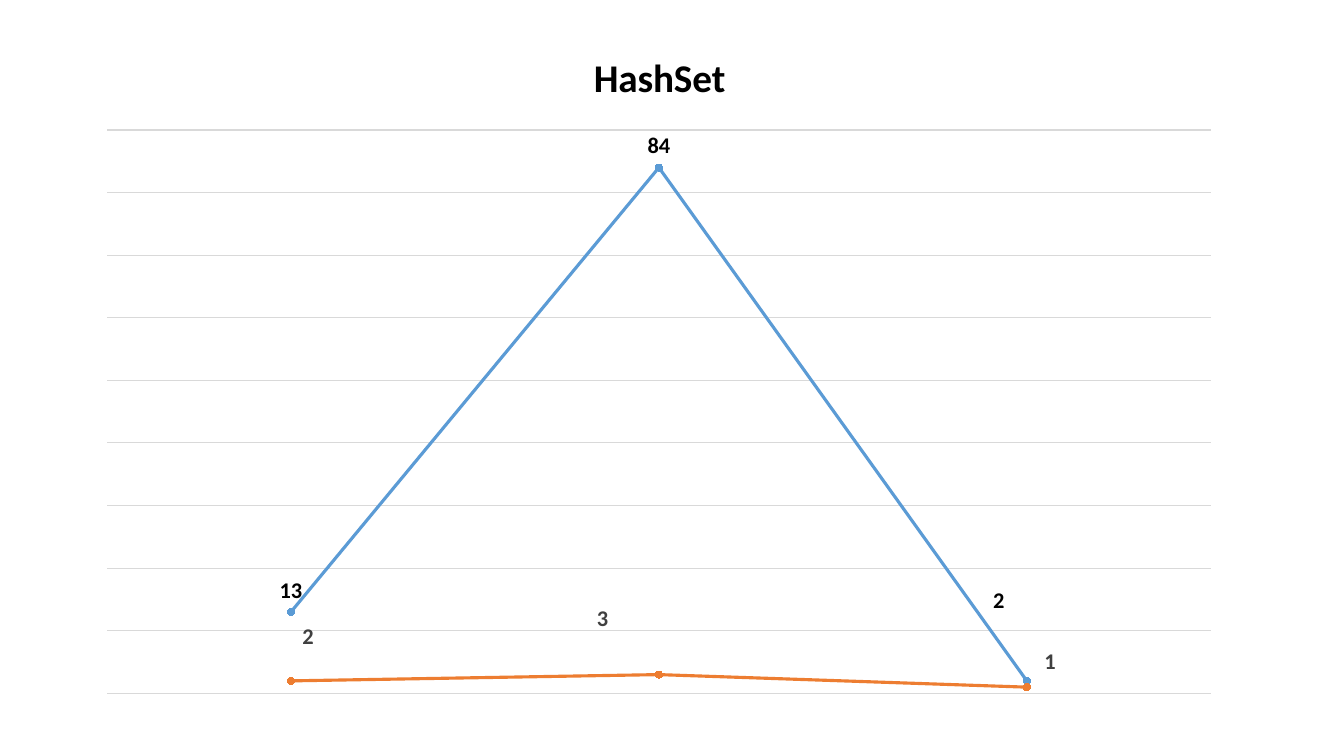
from lxml import etree
from pptx import Presentation
from pptx.chart.data import CategoryChartData
from pptx.dml.color import RGBColor
from pptx.enum import chart as kinds
from pptx.oxml.ns import qn
from pptx.util import Inches, Pt

BLACK = RGBColor(0x00, 0x00, 0x00)
GREY = RGBColor(0x40, 0x40, 0x40)
GRID = RGBColor(0xD9, 0xD9, 0xD9)
BLUE = RGBColor(0x5B, 0x9B, 0xD5)
ORANGE = RGBColor(0xED, 0x7D, 0x31)
FONT = "Calibri"

# Content: name, values, line colour, label colour,
# and shifted labels as {point: (right, down)} in inches
TITLE = "HashSet"
CATEGORIES = ["1", "2", "3"]
SERIES = [
    ("Original", (13, 84, 2), BLUE, BLACK, {2: (-0.28, -0.58)}),
    ("Optimized", (2, 3, 1), ORANGE, GREY,
     {0: (0.17, -0.22), 1: (-0.56, -0.34), 2: (0.23, -0.04)}),
]

# Places in inches; plot and title are measured from the chart's corner
LEFT, TOP, WIDTH, HEIGHT = 0.84, 0.24, 11.4, 7.26
PLOT = (0.22, 1.05, 10.95, 5.59)
TITLE_AT = (4.98, 0.2)


def set_layout(parent, index, x, y, size=None, edge=True):
    """Give a chart part a manual layout, as shares of the chart's size."""
    for old in parent.findall(qn("c:layout")):
        parent.remove(old)
    layout = etree.Element(qn("c:layout"))
    parent.insert(index, layout)
    manual = etree.SubElement(layout, qn("c:manualLayout"))
    entries = [("layoutTarget", "inner")] if size else []
    if edge:
        entries += [("xMode", "edge"), ("yMode", "edge")]
    entries += [("x", x / WIDTH), ("y", y / HEIGHT)]
    if size:
        entries += [("w", size[0] / WIDTH), ("h", size[1] / HEIGHT)]
    for tag, value in entries:
        etree.SubElement(manual, qn("c:" + tag)).set("val", str(value))


def style_font(font, size, color):
    font.name, font.size, font.bold = FONT, Pt(size), True
    font.color.rgb = color


deck = Presentation()
deck.slide_width, deck.slide_height = Inches(13.33), Inches(7.5)
page = deck.slides.add_slide(deck.slide_layouts[6])

# Line chart
data = CategoryChartData()
data.categories = CATEGORIES
for name, values, *_ in SERIES:
    data.add_series(name, values)
chart = page.shapes.add_chart(
    kinds.XL_CHART_TYPE.LINE_MARKERS, Inches(LEFT), Inches(TOP),
    Inches(WIDTH), Inches(HEIGHT), data).chart
chart.has_legend = False
chart.font.name, chart.font.size = FONT, Pt(10)
chart.font.color.rgb = BLACK
chart.plots[0].vary_by_categories = False
plot_area = chart._chartSpace.chart.plotArea
set_layout(plot_area, 0, *PLOT[:2], size=PLOT[2:])

# Title
chart.has_title = True
span = chart.chart_title.text_frame.paragraphs[0].add_run()
span.text = TITLE
style_font(span.font, 28, BLACK)
set_layout(chart.chart_title._element, 1, *TITLE_AT)

# Axes: hidden, only the gridlines show
chart.category_axis.visible = False
scale = chart.value_axis
scale.visible = False
scale.minimum_scale, scale.maximum_scale, scale.major_unit = 0, 90, 10
scale.has_major_gridlines = True
scale.major_gridlines.format.line.color.rgb = GRID
scale.major_gridlines.format.line.width = Pt(0.75)

# Lines, markers and value labels
for line, (_, _, color, label_color, shifts) in zip(chart.plots[0].series, SERIES):
    line.smooth = False
    line.format.line.color.rgb = color
    line.format.line.width = Pt(2.25)
    line.marker.style = kinds.XL_MARKER_STYLE.CIRCLE
    line.marker.size = 5
    line.marker.format.fill.solid()
    line.marker.format.fill.fore_color.rgb = color
    line.marker.format.line.color.rgb = color

    labels = line.data_labels
    labels.show_value = True
    labels.position = kinds.XL_LABEL_POSITION.ABOVE
    style_font(labels.font, 16, label_color)
    for leader in labels._element.findall(qn("c:showLeaderLines")):
        leader.set("val", "0")
    for index, shift in shifts.items():
        label = line.points[index].data_label
        label.position = kinds.XL_LABEL_POSITION.ABOVE
        style_font(label.font, 16, label_color)
        for entry in labels._element.findall(qn("c:dLbl")):
            if entry.find(qn("c:idx")).get("val") == str(index):
                set_layout(entry, 1, *shift, edge=False)

deck.save("out.pptx")
